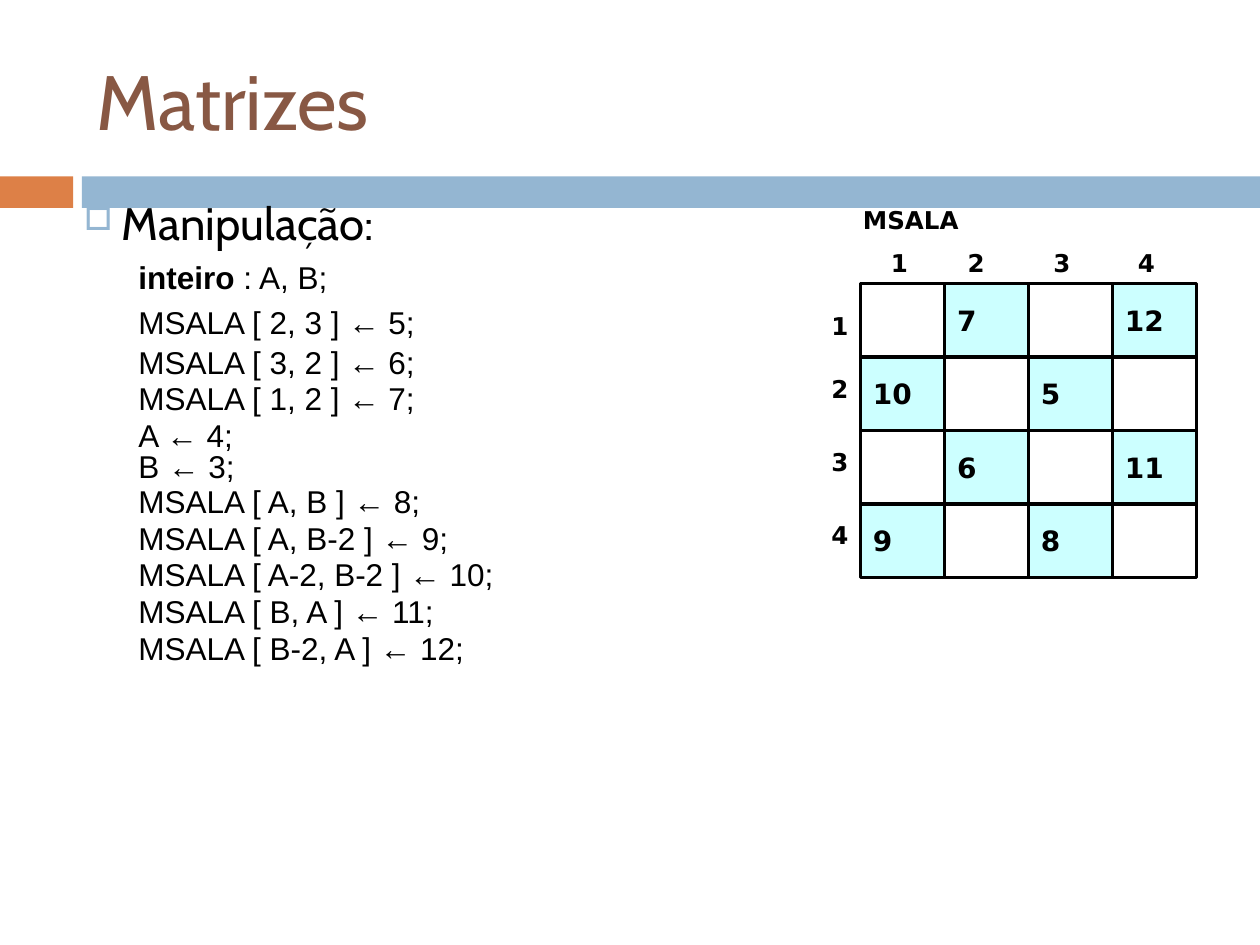
from pptx import Presentation
from pptx.dml.color import RGBColor
from pptx.enum.shapes import MSO_SHAPE
from pptx.enum.text import MSO_ANCHOR, PP_ALIGN
from pptx.oxml.ns import qn
from pptx.util import Inches, Pt
from lxml.etree import SubElement

# Content
TITLE = "Matrizes"
HEADING = "Manipulação:"
DECLARATION = [
    [("inteiro", True), (" : A, B;", False)],
    [("MSALA [ 2, 3 ] ← 5;", False)],
]
STATEMENTS = [  # top, code
    (2.67, "MSALA [ 3, 2 ] ← 6;"),
    (2.96, "MSALA [ 1, 2 ] ← 7;"),
    (3.25, "A ← 4;"),
    (3.5, "B ← 3;"),
    (3.78, "MSALA [ A, B ] ← 8;"),
    (4.07, "MSALA [ A, B-2 ] ← 9;"),
    (4.36, "MSALA [ A-2, B-2 ] ← 10;"),
    (4.65, "MSALA [ B, A ] ← 11;"),
    (4.94, "MSALA [ B-2, A ] ← 12;"),
]
MATRIX_NAME = "MSALA"
MATRIX = [
    ["", "7", "", "12"],
    ["10", "", "5", ""],
    ["", "6", "", "11"],
    ["9", "", "8", ""],
]
COLUMN_STOPS = [("1", 0.37), ("2", 0.98), ("3", 1.66), ("4", 2.33)]
ROW_LABELS = [("1", 2.42), ("2", 2.92), ("3", 3.5), ("4", 4.08)]

COLORS = {
    "orange": "DD8047", "blue": "94B6D2", "brown": "885844",
    "black": "000000", "white": "FFFFFF", "cyan": "CCFFFF",
}
GRID_LEFT, GRID_TOP = 6.83, 2.25
CELL_WIDTH, CELL_HEIGHT = 2 / 3, 7 / 12

presentation = Presentation()
presentation.slide_width, presentation.slide_height = Inches(10), Inches(7.5)
slide = presentation.slides.add_slide(presentation.slide_layouts[6])


def color(name):
    return RGBColor.from_string(COLORS[name])


def write(shape, paragraphs, *, size, font, ink="black", bold=False,
          anchor=MSO_ANCHOR.TOP, space=0, bullet=None, stops=()):
    """Fill a shape with text; a paragraph is a string or (text, bold) runs."""
    frame = shape.text_frame
    frame.word_wrap = True
    frame.vertical_anchor = anchor
    for index, runs in enumerate(paragraphs):
        paragraph = frame.add_paragraph() if index else frame.paragraphs[0]
        paragraph.alignment = PP_ALIGN.LEFT
        if index:
            paragraph.space_before = Pt(space)
        properties = paragraph._p.get_or_add_pPr()
        if bullet:
            properties.set("marL", str(Inches(0.7)))
            properties.set("indent", str(Inches(-0.3)))
            bullet_color = SubElement(properties, qn("a:buClr"))
            SubElement(bullet_color, qn("a:srgbClr"), val=COLORS["blue"])
            SubElement(properties, qn("a:buSzPct"), val="70000")
            SubElement(properties, qn("a:buChar"), char=bullet)
        if stops:
            tabs = SubElement(properties, qn("a:tabLst"))
            for stop in stops:
                SubElement(tabs, qn("a:tab"), pos=str(Inches(stop)), algn="ctr")
        for text, is_bold in [(runs, bold)] if isinstance(runs, str) else runs:
            run = paragraph.add_run()
            run.text = text
            run.font.name, run.font.size = font, Pt(size)
            run.font.bold = is_bold
            run.font.color.rgb = color(ink)


def add_text(left, top, width, height, paragraphs, **text_format):
    box = slide.shapes.add_textbox(*map(Inches, (left, top, width, height)))
    write(box, paragraphs, **text_format)


def add_rectangle(left, top, width, height, fill, outline=None):
    shape = slide.shapes.add_shape(
        MSO_SHAPE.RECTANGLE, *map(Inches, (left, top, width, height)))
    shape.shadow.inherit = False
    shape.fill.solid()
    shape.fill.fore_color.rgb = color(fill)
    if outline:
        shape.line.color.rgb = color(outline)
        shape.line.width = Pt(2)
    else:
        shape.line.fill.background()
    return shape


# Band, title and heading
add_rectangle(0, 1.4, 0.58, 0.25, "orange")
add_rectangle(0.65, 1.4, 9.35, 0.25, "blue")
add_text(0.67, 0.25, 8.92, 1.08, [TITLE], size=44, font="Cabin", ink="brown",
         anchor=MSO_ANCHOR.MIDDLE)
add_text(0.17, 1.5, 9.67, 0.55, [HEADING], size=26, font="Cabin", bullet="□")

# Code
code_format = {"size": 18, "font": "Arial"}
add_text(1, 2, 5.58, 0.76, DECLARATION, space=4, **code_format)
for top, code in STATEMENTS:
    add_text(1, top, 5.75, 0.4, [code], **code_format)

# Matrix labels
label_format = {"size": 14, "font": "DejaVu Sans", "bold": True}
add_text(6.75, 1.58, 1.25, 0.33, [MATRIX_NAME], **label_format)
add_text(6.67, 1.92, 2.83, 0.33,
         ["".join("\t" + label for label, _ in COLUMN_STOPS)],
         stops=[stop for _, stop in COLUMN_STOPS], **label_format)
for label, top in ROW_LABELS:
    add_text(6.5, top, 0.33, 0.33, [label], **label_format)

# Matrix cells
for row, values in enumerate(MATRIX):
    for column, value in enumerate(values):
        cell = add_rectangle(
            GRID_LEFT + column * CELL_WIDTH, GRID_TOP + row * CELL_HEIGHT,
            CELL_WIDTH, CELL_HEIGHT, "cyan" if value else "white", "black")
        if value:
            write(cell, [value], size=16, font="DejaVu Sans", bold=True,
                  anchor=MSO_ANCHOR.MIDDLE)

presentation.save("out.pptx")
